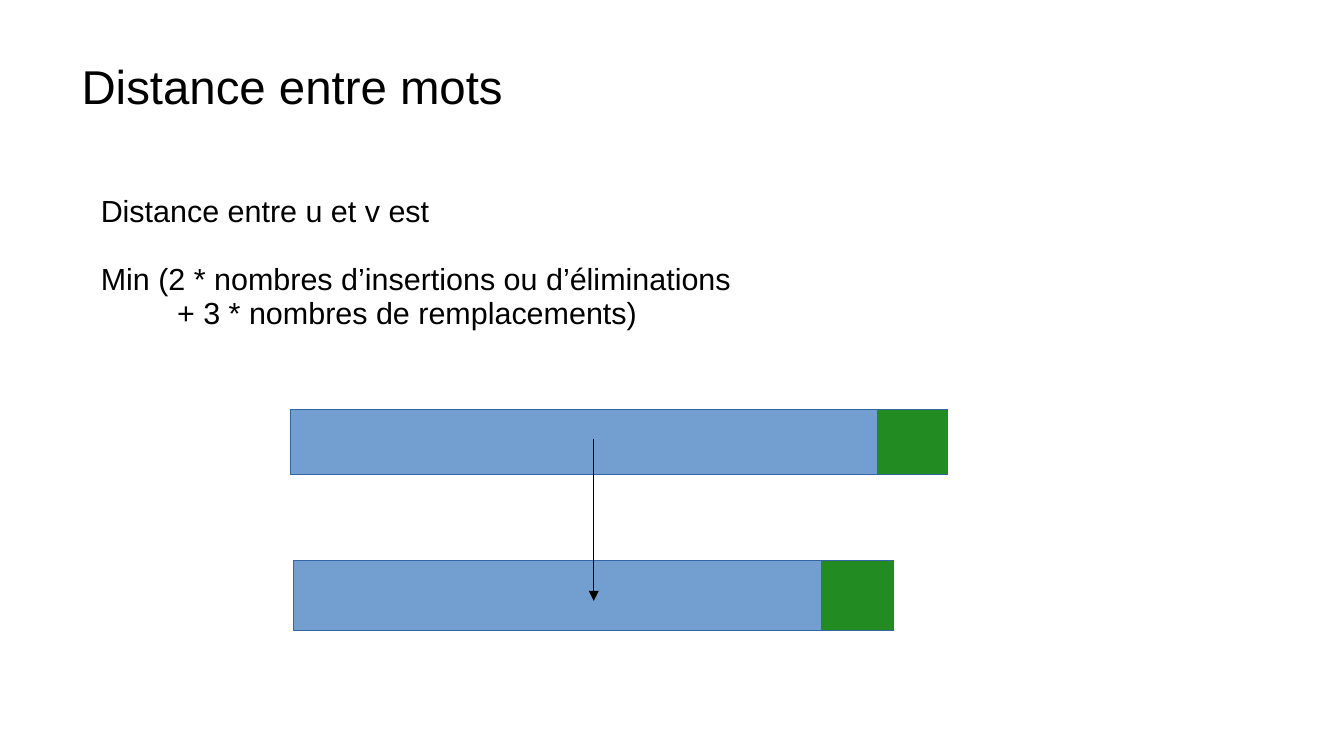
from dataclasses import dataclass

from lxml import etree
from pptx import Presentation
from pptx import util as u
from pptx.dml.color import RGBColor
from pptx.enum import shapes, text
from pptx.oxml import ns


@dataclass(frozen=True)
class Theme:
    font: str = "Arial"
    title: float = 28
    body: float = 18
    ink: str = "000000"
    word: str = "729FCF"
    ending: str = "228B22"
    outline: str = "3465A4"
    line: float = 0.75
    spacing: float = 0.93


def add_text(p, content, *, theme, size, before=0, indent=0):
    """Fill a paragraph; before is in points, indent in centimetres."""
    p.line_spacing = theme.spacing
    if before:
        p.space_before = u.Pt(before)
    if indent:
        p._p.get_or_add_pPr().set("marL", str(u.Cm(indent)))
    r = p.add_run()
    r.text = content
    r.font.name = theme.font
    r.font.size = u.Pt(size)
    r.font.color.rgb = RGBColor.from_string(theme.ink)


class SlideBuilder:
    def __init__(self, slide, theme):
        self.s = slide
        self.theme = theme

    def text_box(self, x, y, w, h, paragraphs, size):
        """Add a text box from (text, format) pairs."""
        sp = self.s.shapes.add_textbox(u.Cm(x), u.Cm(y), u.Cm(w), u.Cm(h))
        tf = sp.text_frame
        tf.word_wrap = True
        tf.vertical_anchor = text.MSO_ANCHOR.TOP
        for i, (content, fmt) in enumerate(paragraphs):
            p = tf.add_paragraph() if i else tf.paragraphs[0]
            add_text(p, content, theme=self.theme, size=size, **fmt)

    def rect(self, x, y, w, h, fill):
        sp = self.s.shapes.add_shape(
            shapes.MSO_SHAPE.RECTANGLE, u.Cm(x), u.Cm(y), u.Cm(w), u.Cm(h))
        sp.shadow.inherit = False
        sp.fill.solid()
        sp.fill.fore_color.rgb = RGBColor.from_string(fill)
        sp.line.color.rgb = RGBColor.from_string(self.theme.outline)
        sp.line.width = u.Pt(self.theme.line)

    def word_bar(self, x, y, w, h, ending):
        """Add a word whose last part, ending wide, is set off in colour."""
        self.rect(x, y, w, h, self.theme.word)
        self.rect(x + w - ending, y, ending, h, self.theme.ending)

    def arrow(self, x1, y1, x2, y2):
        cx = self.s.shapes.add_connector(
            shapes.MSO_CONNECTOR.STRAIGHT, u.Cm(x1), u.Cm(y1), u.Cm(x2), u.Cm(y2))
        cx.line.color.rgb = RGBColor.from_string(self.theme.ink)
        cx.line.width = u.Pt(self.theme.line)
        etree.SubElement(cx.line._get_or_add_ln(), ns.qn("a:tailEnd"), type="triangle")
        etree.SubElement(cx._element.spPr, ns.qn("a:effectLst"))


def main():
    theme = Theme()
    prs = Presentation()
    prs.slide_width, prs.slide_height = u.Cm(28), u.Cm(15.75)
    b = SlideBuilder(prs.slides.add_slide(prs.slide_layouts[6]), theme)

    b.text_box(1.45, 1.17, 22.35, 1.35, [("Distance entre mots", {})], theme.title)
    b.text_box(1.85, 3.94, 17.83, 5.2, [
        ("Distance entre u et v est", {}),
        ("Min (2 * nombres d’insertions ou d’éliminations", {"before": 20}),
        ("+ 3 * nombres de remplacements)", {"indent": 1.59}),
    ], theme.body)

    b.word_bar(6.05, 8.53, 13.69, 1.35, ending=1.46)
    b.word_bar(6.12, 11.68, 12.5, 1.45, ending=1.5)
    b.arrow(12.37, 9.14, 12.37, 12.52)

    prs.save("out.pptx")


if __name__ == "__main__":
    main()
